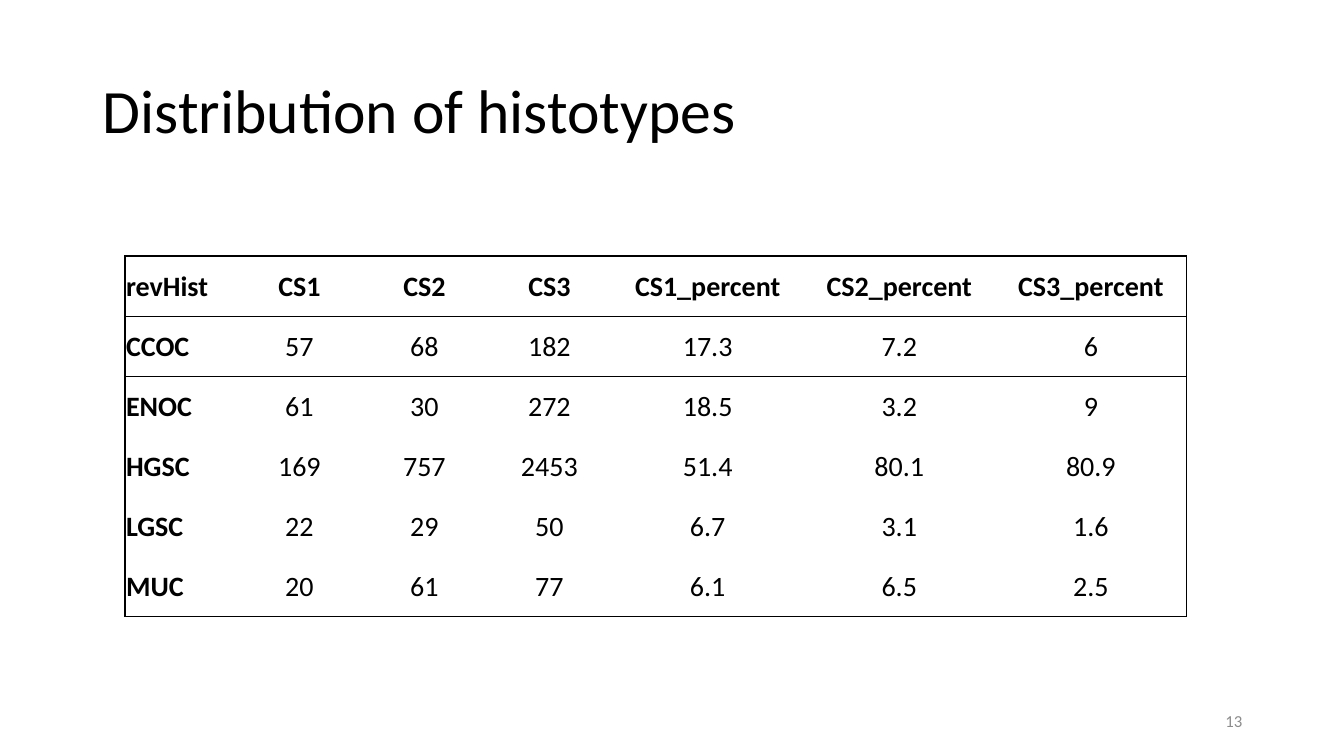
from lxml import etree
from pptx import Presentation
from pptx import util as u
from pptx.dml.color import RGBColor
from pptx.enum import text
from pptx.oxml import ns

PX = 9144  # EMU per px, 100 px to the inch
FONT = "Calibri"
BLACK = RGBColor(0x00, 0x00, 0x00)
GRAY = RGBColor(0x8C, 0x8C, 0x8C)

HISTOTYPES = [
    ["revHist", "CS1", "CS2", "CS3", "CS1_percent", "CS2_percent", "CS3_percent"],
    ["CCOC", "57", "68", "182", "17.3", "7.2", "6"],
    ["ENOC", "61", "30", "272", "18.5", "3.2", "9"],
    ["HGSC", "169", "757", "2453", "51.4", "80.1", "80.9"],
    ["LGSC", "22", "29", "50", "6.7", "3.1", "1.6"],
    ["MUC", "20", "61", "77", "6.1", "6.5", "2.5"],
]
COLUMN_WIDTHS = [111] + [124] * 3 + [190] * 3
RULED_ROWS = (0, 1, len(HISTOTYPES) - 1)  # rows with a line below


def px(*lengths):
    return [u.Emu(length * PX) for length in lengths]


def write(frame, words, size, color, align, bold=False):
    frame.vertical_anchor = text.MSO_ANCHOR.MIDDLE
    para = frame.paragraphs[0]
    para.alignment = align
    span = para.add_run()
    span.text = words
    span.font.name = FONT
    span.font.size = u.Pt(size)
    span.font.bold = bold
    span.font.color.rgb = color
    return para


def add_title(page, words):
    title = page.shapes.title
    title.left, title.top, title.width, title.height = px(92, 40, 1150, 145)
    para = write(title.text_frame, words, 44, BLACK, text.PP_ALIGN.LEFT)
    para.line_spacing = 0.9


def set_borders(cell, visible):
    properties = cell._tc.get_or_add_tcPr()
    for side in "LRTB":
        line = etree.SubElement(properties, ns.qn("a:ln" + side), w=str(u.Pt(1)))
        if side in visible:
            fill = etree.SubElement(line, ns.qn("a:solidFill"))
            etree.SubElement(fill, ns.qn("a:srgbClr"), val=str(BLACK))
        else:
            etree.SubElement(line, ns.qn("a:noFill"))


def visible_sides(row, column):
    sides = "L" if column == 0 else ""
    if column == len(COLUMN_WIDTHS) - 1:
        sides += "R"
    if row == 0 or row - 1 in RULED_ROWS:
        sides += "T"
    if row in RULED_ROWS:
        sides += "B"
    return sides


def add_histotype_table(page):
    frame = page.shapes.add_table(len(HISTOTYPES), len(COLUMN_WIDTHS),
                                  *px(124, 254, sum(COLUMN_WIDTHS), 358))
    table = frame.table
    table.first_row = table.horz_banding = False
    for column, width in zip(table.columns, COLUMN_WIDTHS):
        column.width = u.Emu(width * PX)

    for r, values in enumerate(HISTOTYPES):
        for c, value in enumerate(values):
            cell = table.cell(r, c)
            set_borders(cell, visible_sides(r, c))
            cell.fill.background()
            cell.margin_left, cell.margin_right, cell.margin_top, cell.margin_bottom = px(1, 1, 1, 0)
            cell.vertical_anchor = text.MSO_ANCHOR.MIDDLE
            align = text.PP_ALIGN.CENTER if c else text.PP_ALIGN.LEFT
            write(cell.text_frame, value, 20, BLACK, align, bold=r == 0 or c == 0)


def add_page_number(page, number):
    box = page.shapes.add_textbox(*px(942, 695, 300, 40))
    box.text_frame.word_wrap = True
    write(box.text_frame, number, 12, GRAY, text.PP_ALIGN.RIGHT)


def main():
    deck = Presentation()
    deck.slide_width, deck.slide_height = px(1333, 750)
    page = deck.slides.add_slide(deck.slide_layouts[5])

    add_title(page, "Distribution of histotypes")
    add_histotype_table(page)
    add_page_number(page, "13")

    deck.save("out.pptx")


if __name__ == "__main__":
    main()
